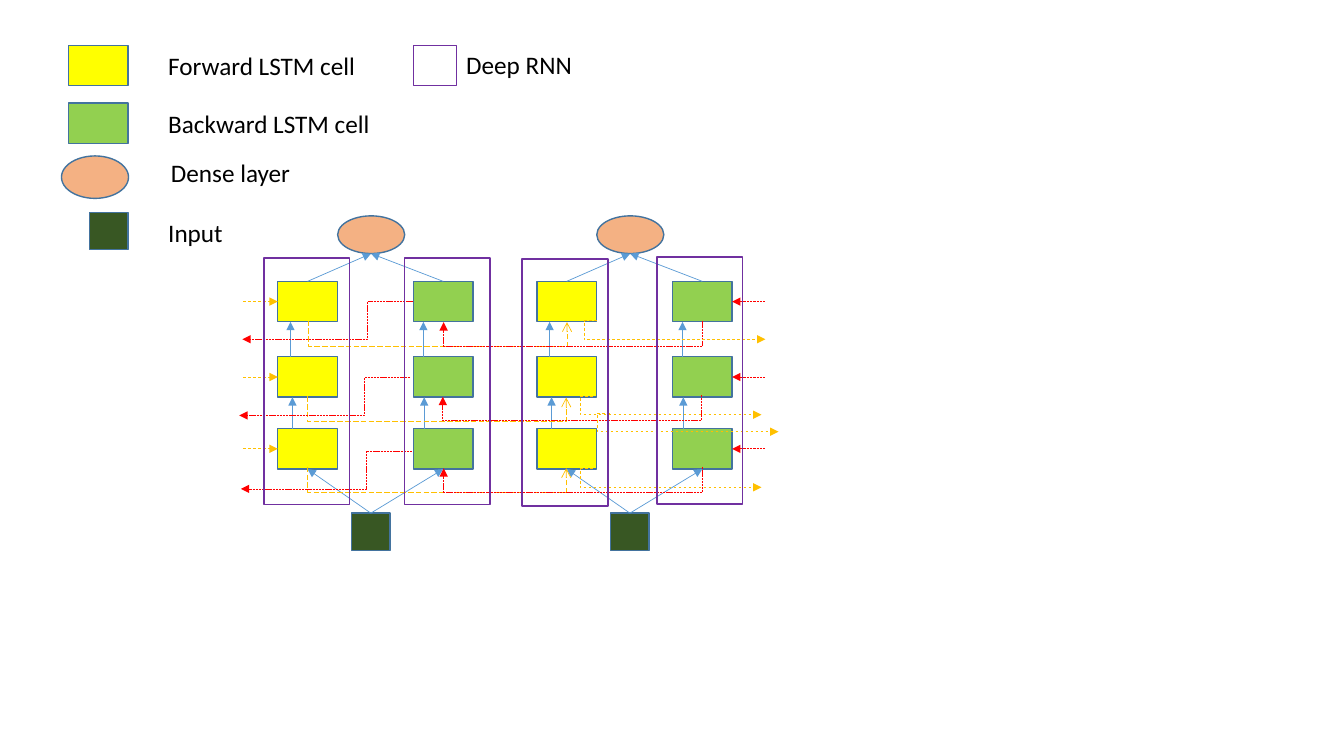
from lxml.etree import SubElement
from pptx import Presentation
from pptx.dml.color import RGBColor
from pptx.enum.dml import MSO_LINE
from pptx.enum.shapes import MSO_CONNECTOR, MSO_SHAPE
from pptx.enum.text import MSO_AUTO_SIZE
from pptx.oxml.ns import qn
from pptx.util import Cm, Pt

THEME = {
    "forward": RGBColor(0xFF, 0xFF, 0x00),
    "backward": RGBColor(0x92, 0xD0, 0x50),
    "dense": RGBColor(0xF4, 0xB1, 0x83),
    "input": RGBColor(0x38, 0x57, 0x23),
    "outline": RGBColor(0x43, 0x73, 0x9E),
    "frame": RGBColor(0x70, 0x30, 0xA0),
    "flow": RGBColor(0x5B, 0x9B, 0xD5),
    "forward_state": RGBColor(0xFF, 0xC0, 0x00),
    "backward_state": RGBColor(0xFF, 0x00, 0x00),
    "text": RGBColor(0x00, 0x00, 0x00),
    "font": {"name": "Calibri", "size": Pt(18)},
    "shape_line": Pt(1),
    "arrow_line": Pt(0.5),
}
CELL_WIDTH, CELL_HEIGHT = 1.5, 1.02
INPUT_SIZE = (0.97, 0.94)
FRAME_SIZE = (2.16, 6.22)
ROWS = (7.09, 8.99, 10.8)
UNIT_STEP = 6.53


def draw_shape(shapes, kind, box, fill=None, outline="outline"):
    shape = shapes.add_shape(kind, *map(Cm, box))
    shape.shadow.inherit = False
    if fill:
        shape.fill.solid()
        shape.fill.fore_color.rgb = THEME[fill]
    else:
        shape.fill.background()
    shape.line.color.rgb = THEME[outline]
    shape.line.width = THEME["shape_line"]
    return shape


def draw_arrow(shapes, start, end, color, dash=None, head="triangle", bend=None, turn=0):
    kind = MSO_CONNECTOR.STRAIGHT if bend is None else MSO_CONNECTOR.ELBOW
    connector = shapes.add_connector(kind, *map(Cm, (*start, *end)))
    connector.line.color.rgb = THEME[color]
    connector.line.width = THEME["arrow_line"]
    if dash:
        connector.line.dash_style = dash
    properties = connector.element.spPr
    SubElement(properties.find(qn("a:ln")), qn("a:tailEnd"), type=head)
    SubElement(properties, qn("a:effectLst"))
    if bend is not None:
        guides = properties.find(qn("a:prstGeom")).find(qn("a:avLst"))
        SubElement(guides, qn("a:gd"), name="adj1", fmla=f"val {round(bend * 100000)}")
    if turn:
        properties.find(qn("a:xfrm")).set("rot", str(turn * 60000))
    return connector


presentation = Presentation()
presentation.slide_width, presentation.slide_height = Cm(33.87), Cm(19.05)
slide = presentation.slides.add_slide(presentation.slide_layouts[6])

legend_symbols = [
    (MSO_SHAPE.RECTANGLE, (1.73, 1.14, CELL_WIDTH, CELL_HEIGHT), "forward"),
    (MSO_SHAPE.RECTANGLE, (1.73, 2.6, CELL_WIDTH, CELL_HEIGHT), "backward"),
    (MSO_SHAPE.OVAL, (1.55, 3.93, 1.69, 1.07), "dense"),
    (MSO_SHAPE.RECTANGLE, (2.26, 5.35, *INPUT_SIZE), "input"),
]
for kind, box, fill in legend_symbols:
    draw_shape(slide.shapes, kind, box, fill)

legend_labels = [
    ("Forward LSTM cell", 3.99, 1.14, 5.61),
    ("Backward LSTM cell", 3.99, 2.6, 5.61),
    ("Dense layer", 4.06, 3.83, 5.61),
    ("Input", 3.99, 5.35, 5.61),
    ("Deep RNN", 11.5, 1.12, 3.58),
]
for text, left, top, width in legend_labels:
    label = slide.shapes.add_textbox(Cm(left), Cm(top), Cm(width), Cm(CELL_HEIGHT))
    label.text_frame.word_wrap = True
    label.text_frame.auto_size = MSO_AUTO_SIZE.SHAPE_TO_FIT_TEXT
    run = label.text_frame.paragraphs[0].add_run()
    run.text = text
    run.font.color.rgb = THEME["text"]
    for attribute, value in THEME["font"].items():
        setattr(run.font, attribute, value)

cells = {}
for unit in range(2):
    shift = unit * UNIT_STEP
    center = 9.35 + shift
    shapes = slide.shapes.add_group_shape().shapes
    input_box = draw_shape(shapes, MSO_SHAPE.RECTANGLE, (8.86 + shift, 12.93, *INPUT_SIZE), "input")
    draw_shape(shapes, MSO_SHAPE.OVAL, (8.51 + shift, 5.44, 1.69, 0.95), "dense")
    for direction, left, insets in (("forward", 7, (0.32, 0.37)), ("backward", 10.42, (0.25, 0.27))):
        left += shift
        column = [
            draw_shape(shapes, MSO_SHAPE.RECTANGLE, (left, top, CELL_WIDTH, CELL_HEIGHT), direction)
            for top in ROWS
        ]
        cells[unit, direction] = column
        for inset, upper, lower in zip(insets, ROWS, ROWS[1:]):
            draw_arrow(shapes, (left + inset, lower), (left + inset, upper + CELL_HEIGHT), "flow")
        middle = left + CELL_WIDTH / 2
        entry = draw_arrow(shapes, (center, 12.93), (middle, ROWS[-1] + CELL_HEIGHT), "flow")
        entry.begin_connect(input_box, 0)
        entry.end_connect(column[-1], 2)
        leaving = draw_arrow(shapes, (middle, ROWS[0]), (center, 6.39), "flow")
        leaving.begin_connect(column[0], 0)

span, rise, drop = 6.52, 0.04, 0.64
loops = [
    ("forward_state", MSO_LINE.LONG_DASH, "arrow", 270, -1,
     ((7.77, 8.08), (7.75, 9.98), (7.75, 11.76))),
    ("backward_state", MSO_LINE.SQUARE_DOT, "triangle", 90, 1,
     ((11.18, 8.08), (11.16, 9.96), (11.18, 11.76))),
]
for color, dash, head, turn, side, corners in loops:
    for left, top in corners:
        x, y = left + span / 2, top + rise / 2
        start = (x - side * rise / 2, y - span / 2)
        end = (x + side * rise / 2, y + span / 2)
        draw_arrow(slide.shapes, start, end, color, dash, head, drop / rise, turn)

for row, top in enumerate(ROWS):
    y = top + CELL_HEIGHT / 2
    arriving = draw_arrow(slide.shapes, (6.12, y), (7, y), "forward_state", MSO_LINE.DASH)
    arriving.end_connect(cells[0, "forward"][row], 1)
    arriving = draw_arrow(slide.shapes, (19.27, y), (18.45, y), "backward_state", MSO_LINE.ROUND_DOT)
    arriving.end_connect(cells[1, "backward"][row], 3)

outgoing = [
    ("forward_state", MSO_LINE.DASH, 4.25, 0.47, -0.076,
     ((15.04, 8.08), (14.94, 9.98), (14.94, 11.81), (15.37, 10.41))),
    ("backward_state", MSO_LINE.SQUARE_DOT, -4.31, 0.95, 0.267,
     ((10.42, 7.6), (10.34, 9.52), (10.38, 11.37))),
]
for color, dash, reach, fall, bend, starts in outgoing:
    for x, y in starts:
        draw_arrow(slide.shapes, (x, y), (x + reach, y + fall), color, dash, bend=bend)

for left, top in ((10.19, 6.5), (6.65, 6.5), (13.16, 6.53), (16.56, 6.48)):
    draw_shape(slide.shapes, MSO_SHAPE.RECTANGLE, (left, top, *FRAME_SIZE), outline="frame")
draw_shape(slide.shapes, MSO_SHAPE.RECTANGLE, (10.42, 1.14, 1.09, CELL_HEIGHT), outline="frame")

presentation.save("out.pptx")
